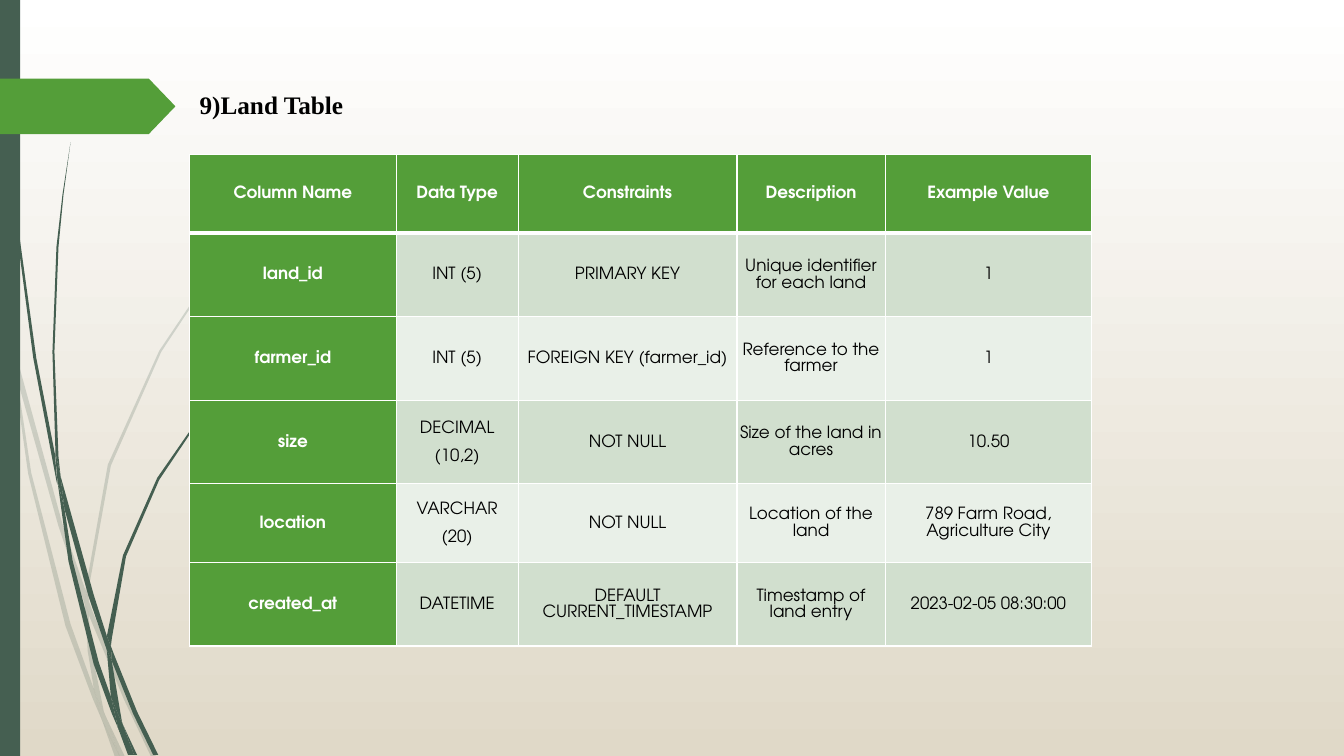
"""Build the land table slide."""
from lxml import etree
from pptx import Presentation
from pptx.dml.color import RGBColor
from pptx.enum import shapes as kinds, text as txt
from pptx.oxml import ns
from pptx.util import Inches, Pt

WHITE = RGBColor(0xFF, 0xFF, 0xFF)
BLACK = RGBColor(0, 0, 0)
SAND = RGBColor(0xE0, 0xD9, 0xC8)
PINE = RGBColor(0x45, 0x5F, 0x51)
GREEN = RGBColor(0x54, 0x9E, 0x39)
SAGE = RGBColor(0xD1, 0xDF, 0xCE)
MIST = RGBColor(0xE9, 0xF0, 0xE8)
FONT = "TeX Gyre Adventor"

PALE = [
    [(.11, 3.5), (.09, 3.22), (0, 2.82), (0, 2.99), (.1, 3.44)],
    [(.58, 5.22), (.84, 5.99), (.85, 5.86), (.62, 5.2), (.14, 3.45), (.17, 3.76)],
    [(.92, 6.07), (.88, 5.96), (.88, 6.1), (1.23, 6.94), (1.5, 7.51), (1.55, 7.51), (1.27, 6.92)],
    [(1.19, 7.51), (1.24, 7.51), (1.05, 7.11)],
    [(.93, 6.83), (.7, 6.19), (.31, 4.69), (.17, 3.76), (.11, 3.5), (.28, 4.7), (.65, 6.21),
     (.92, 6.93), (1.01, 7.14), (.99, 7.07)],
    [(.84, 5.99), (.87, 6.46), (.93, 6.83), (.96, 6.92), (1.05, 7.11), (1.03, 7.06), (.91, 6.46),
     (.88, 6.1), (.88, 6.08)],
    [(.88, 5.84), (1.1, 4.62), (1.6, 3.49), (2.29, 2.45), (2.68, 1.98), (2.9, 1.75), (3.12, 1.54),
     (3.12, 1.53), (2.89, 1.75), (2.68, 1.97), (2.28, 2.44), (1.58, 3.48), (1.07, 4.61),
     (.85, 5.84), (.85, 5.86), (.88, 5.96)],
    [(1.01, 7.14), (1.14, 7.51), (1.19, 7.51)],
    [(.88, 6.08), (.88, 6.1), (.88, 5.96), (.85, 5.86), (.84, 5.99)],
    [(.96, 6.92), (.93, 6.83), (.99, 7.07), (1.01, 7.14), (1.19, 7.51), (1.05, 7.11)],
]
DARK = [
    [(.07, 1.1), (.17, 2.33), (.33, 3.55), (.56, 4.77), (.57, 4.81), (.55, 4.57), (.55, 4.53),
     (.36, 3.55), (.19, 2.32), (.08, 1.09), (.05, .48), (.04, 0), (.03, 0), (.04, .48)],
    [(.88, 5.92), (1.06, 6.45), (1.06, 6.33), (1.06, 6.31), (.93, 5.9), (.6, 4.72), (.64, 5.05)],
    [(1.13, 6.49), (1.1, 6.41), (1.11, 6.56), (1.32, 7.08), (1.52, 7.49), (1.57, 7.49), (1.36, 7.06)],
    [(1.1, 6.91), (.98, 6.57), (.72, 5.56), (.64, 5.05), (.57, 4.77), (.68, 5.57), (.93, 6.59),
     (1.11, 7.08), (1.17, 7.22), (1.16, 7.17)],
    [(.6, 4.72), (.58, 4.53), (.54, 3.49), (.58, 2.45), (.63, 1.93), (.7, 1.41), (.62, 1.93),
     (.56, 2.45), (.52, 3.49), (.55, 4.49)],
    [(1.33, 7.49), (1.36, 7.49), (1.22, 7.19)],
    [(.57, 4.77), (.64, 5.05), (.6, 4.72), (.55, 4.49), (.55, 4.53)],
    [(1.11, 6.33), (1.25, 5.52), (1.58, 4.76), (2.05, 4.06), (2.31, 3.74), (2.45, 3.59),
     (2.61, 3.44), (2.6, 3.44), (2.45, 3.58), (2.31, 3.73), (2.04, 4.05), (1.56, 4.74),
     (1.22, 5.51), (1.06, 6.31), (1.1, 6.41)],
    [(1.17, 7.22), (1.27, 7.49), (1.31, 7.49)],
    [(1.06, 6.45), (1.1, 6.91), (1.16, 7.06), (1.22, 7.19), (1.21, 7.16), (1.11, 6.56), (1.09, 6.51)],
    [(1.06, 6.45), (1.09, 6.51), (1.11, 6.56), (1.1, 6.41), (1.06, 6.31), (1.06, 6.33)],
    [(1.16, 7.06), (1.1, 6.91), (1.16, 7.17), (1.17, 7.22), (1.3, 7.49), (1.33, 7.49), (1.22, 7.19)],
]
ROWS = [
    ["Column Name", "Data Type", "Constraints", "Description", "Example Value"],
    ["land_id", "INT (5)", "PRIMARY KEY", "Unique identifier for each land", "1"],
    ["farmer_id", "INT (5)", "FOREIGN KEY (farmer_id)", "Reference to the farmer", "1"],
    ["size", "DECIMAL\n(10,2)", "NOT NULL", "Size of the land in acres", "10.50"],
    ["location", "VARCHAR\n(20)", "NOT NULL", "Location of the land", "789 Farm Road, Agriculture City"],
    ["created_at", "DATETIME", "DEFAULT CURRENT_TIMESTAMP", "Timestamp of land entry",
     "2023-02-05 08:30:00"],
]


def paint(shape, color):
    shape.fill.solid()
    shape.fill.fore_color.rgb = color
    shape.line.fill.background()
    shape.shadow.inherit = False


deck = Presentation()
deck.slide_width, deck.slide_height = Inches(13.33), Inches(7.5)
slide = deck.slides.add_slide(deck.slide_layouts[5])
back = slide.background.fill
back.gradient()
back.gradient_angle = 270
for stop, color, place in zip(back.gradient_stops, (WHITE, SAND), (0, 1)):
    stop.color.rgb = color
    stop.position = place

for group in (PALE, DARK):
    for blade in group:
        edge = [(Inches(x), Inches(y)) for x, y in blade]
        pen = slide.shapes.build_freeform(*edge[0])
        pen.add_line_segments(edge[1:], close=True)
        leaf = pen.convert_to_shape()
        paint(leaf, PINE)
        if group is PALE:
            tint = leaf.fill._xPr.find(".//" + ns.qn("a:srgbClr"))
            etree.SubElement(tint, ns.qn("a:alpha"), val="20000")

bar = slide.shapes.add_shape(kinds.MSO_SHAPE.RECTANGLE, 0, 0, Inches(0.2), Inches(7.5))
paint(bar, PINE)
tag = slide.shapes.add_shape(kinds.MSO_SHAPE.PENTAGON, 0, Inches(0.78), Inches(1.74), Inches(0.55))
tag.adjustments[0] = 0.48
paint(tag, GREEN)

title = slide.shapes.title
title.left, title.top, title.width, title.height = map(Inches, (1.88, 0.82, 6.67, 0.4))
frame = title.text_frame
frame.auto_size = txt.MSO_AUTO_SIZE.NONE
frame.vertical_anchor = txt.MSO_ANCHOR.TOP
head = frame.paragraphs[0]
head.alignment = txt.PP_ALIGN.JUSTIFY
head.line_spacing = 1.05
run = head.add_run()
run.text = "9)Land Table"
run.font.name, run.font.size, run.font.bold = "Times New Roman", Pt(18), True
run.font.color.rgb = BLACK

grid = slide.shapes.add_table(6, 5, Inches(1.88), Inches(1.53), Inches(8.95), Inches(4.88)).table
for col, width in zip(grid.columns, (2.05, 1.21, 2.17, 1.47, 2.05)):
    col.width = Inches(width)
for row, height in zip(grid.rows, (0.78, 0.83, 0.83, 0.83, 0.78, 0.83)):
    row.height = Inches(height)
for i, words in enumerate(ROWS):
    for j, word in enumerate(words):
        cell = grid.cell(i, j)
        bold = i == 0 or j == 0
        cell.fill.solid()
        cell.fill.fore_color.rgb = GREEN if bold else SAGE if i % 2 else MIST
        cell.vertical_anchor = txt.MSO_ANCHOR.MIDDLE
        cell.margin_left = cell.margin_right = cell.margin_top = cell.margin_bottom = Inches(0.01)
        for n, part in enumerate(word.split("\n")):
            para = cell.text_frame.add_paragraph() if n else cell.text_frame.paragraphs[0]
            para.alignment = txt.PP_ALIGN.CENTER
            para.line_spacing = 1.07
            para.space_after = Pt(8)
            run = para.add_run()
            run.text = part
            run.font.name, run.font.size, run.font.bold = FONT, Pt(12), bold
            run.font.color.rgb = WHITE if bold else BLACK
        props = cell._tc.get_or_add_tcPr()
        for k, side in enumerate("LRTB"):
            thick = (i, side) in ((0, "B"), (1, "T"))
            line = etree.Element(ns.qn("a:ln" + side), w=str(Pt(3 if thick else 1)))
            fill = etree.SubElement(line, ns.qn("a:solidFill"))
            etree.SubElement(fill, ns.qn("a:srgbClr"), val=str(WHITE))
            props.insert(k, line)

deck.save("out.pptx")
